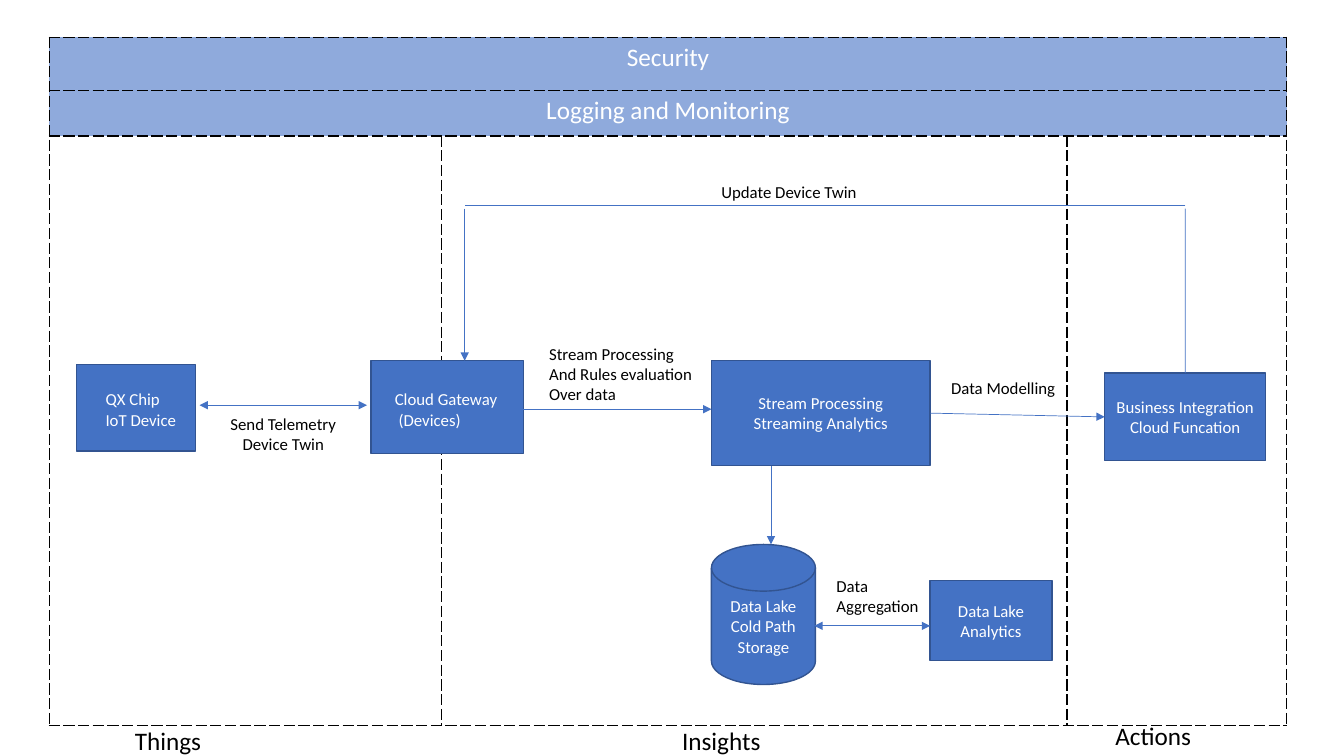
from lxml.etree import SubElement
from pptx import Presentation
from pptx.dml.color import RGBColor
from pptx.enum.shapes import MSO_CONNECTOR, MSO_SHAPE
from pptx.enum.text import MSO_ANCHOR, MSO_AUTO_SIZE, PP_ALIGN
from pptx.oxml.ns import qn
from pptx.util import Cm, Pt

BLUE, EDGE, BAND = "4472C4", "325491", "8FAADC"
BLACK, WHITE = "000000", "FFFFFF"

GRID = (1.24, 0.94)
COLS = [9.88, 15.77, 5.54]
ROWS = [1.35, 1.14, 14.86]
BANDS = ["Security", "Logging and Monitoring"]

STEP, DISK, RECT = (MSO_SHAPE.FLOWCHART_PROCESS,
                    MSO_SHAPE.FLOWCHART_MAGNETIC_DISK, MSO_SHAPE.RECTANGLE)
BOXES = {
    "device": (STEP, 1.93, 9.19, 3.0, 2.18, ""),
    "hub": (STEP, 9.35, 9.09, 3.84, 2.34, ""),
    "stream": (STEP, 17.93, 9.09, 5.51, 2.64,
               "Stream Processing\nStreaming Analytics"),
    "lake": (DISK, 17.93, 13.72, 2.62, 3.53, "Data Lake Cold Path Storage"),
    "query": (RECT, 23.44, 14.63, 3.07, 2.01, "Data Lake Analytics"),
    "action": (RECT, 27.84, 9.4, 4.06, 2.21,
               "Business Integration\nCloud Funcation"),
}

LABELS = [
    ("Things", 3.15, 18.14, 2.21, 1.02, {"size": 18}),
    ("Insights", 16.94, 18.14, 2.51, 1.02, {"size": 18}),
    ("Actions", 27.86, 18.03, 2.44, 1.02, {"size": 18}),
    ("QX Chip\nIoT Device", 2.41, 9.68, 2.31, 1.27, {"color": WHITE}),
    ("Cloud Gateway\n (Devices)", 9.7, 9.68, 3.12, 1.27, {"color": WHITE}),
    ("Send Telemetry\nDevice Twin", 5.54, 10.29, 3.2, 1.27,
     {"align": PP_ALIGN.CENTER}),
    ("Stream Processing\nAnd Rules evaluation\nOver data",
     13.59, 8.53, 4.14, 1.8, {}),
    ("Data\nAggregation", 20.83, 14.38, 2.62, 1.27, {}),
    ("Data Modelling", 23.72, 9.4, 3.15, 0.76, {}),
    ("Update Device Twin", 17.93, 4.45, 3.96, 0.76, {}),
]

LINES = [
    (5.03, 10.21, 9.25, 10.21, "both"),
    (13.18, 10.31, 17.93, 10.31, "end"),
    (19.43, 11.73, 19.43, 13.72, "end"),
    (20.52, 15.77, 23.44, 15.77, "both"),
    (29.87, 5.18, 11.71, 5.18, ""),
    (11.71, 5.26, 11.71, 9.09, "end"),
]


def paint(form, tone):
    form.solid()
    form.fore_color.rgb = RGBColor.from_string(tone)


def write(frame, text, size=12, color=BLACK, align=PP_ALIGN.LEFT):
    for i, line in enumerate(text.split("\n")):
        para = frame.paragraphs[0] if i == 0 else frame.add_paragraph()
        para.alignment = align
        run = para.add_run()
        run.text = line
        run.font.size = Pt(size)
        run.font.name = "Calibri"
        run.font.color.rgb = RGBColor.from_string(color)


def border(cell):
    props = cell._tc.get_or_add_tcPr()
    for side in "LRTB":
        edge = SubElement(props, qn("a:ln" + side), w=str(Pt(1)))
        fill = SubElement(edge, qn("a:solidFill"))
        SubElement(fill, qn("a:srgbClr"), val=BLACK)
        SubElement(edge, qn("a:prstDash"), val="sysDash")


def link(shapes, x1, y1, x2, y2, heads):
    line = shapes.add_connector(MSO_CONNECTOR.STRAIGHT,
                                Cm(x1), Cm(y1), Cm(x2), Cm(y2))
    paint(line.line.fill, BLUE)
    line.line.width = Pt(0.5)
    edge = line.line._get_or_add_ln()
    if heads == "both":
        SubElement(edge, qn("a:headEnd"), type="triangle")
    if heads:
        SubElement(edge, qn("a:tailEnd"), type="triangle")
    SubElement(line._element.spPr, qn("a:effectLst"))
    return line


def zones(shapes):
    grid = shapes.add_table(len(ROWS), len(COLS), Cm(GRID[0]), Cm(GRID[1]),
                            Cm(sum(COLS)), Cm(sum(ROWS))).table
    grid.first_row = grid.horz_banding = False
    for col, wide in zip(grid.columns, COLS):
        col.width = Cm(wide)
    for r, high in enumerate(ROWS):
        grid.rows[r].height = Cm(high)
        for c in range(len(COLS)):
            cell = grid.cell(r, c)
            border(cell)
            if r < len(BANDS):
                paint(cell.fill, BAND)
            else:
                cell.fill.background()
    for r, name in enumerate(BANDS):
        cell = grid.cell(r, 0)
        cell.merge(grid.cell(r, len(COLS) - 1))
        write(cell.text_frame, name, size=18, color=WHITE,
              align=PP_ALIGN.CENTER)


def block(shapes, kind, x, y, w, h, text):
    box = shapes.add_shape(kind, Cm(x), Cm(y), Cm(w), Cm(h))
    box.shadow.inherit = False
    paint(box.fill, BLUE)
    paint(box.line.fill, EDGE)
    box.line.width = Pt(1)
    if text:
        box.text_frame.word_wrap = True
        box.text_frame.vertical_anchor = MSO_ANCHOR.MIDDLE
        write(box.text_frame, text, color=WHITE, align=PP_ALIGN.CENTER)
    return box


def label(shapes, text, x, y, w, h, form):
    frame = shapes.add_textbox(Cm(x), Cm(y), Cm(w), Cm(h)).text_frame
    frame.word_wrap = False
    frame.auto_size = MSO_AUTO_SIZE.SHAPE_TO_FIT_TEXT
    write(frame, text, **form)


def main():
    deck = Presentation()
    deck.slide_width, deck.slide_height = Cm(33.87), Cm(19.05)
    shapes = deck.slides.add_slide(deck.slide_layouts[6]).shapes
    zones(shapes)
    boxes = {name: block(shapes, *data) for name, data in BOXES.items()}
    for data in LINES:
        link(shapes, *data)
    model = link(shapes, 23.44, 10.41, 27.84, 10.5, "end")
    model.begin_connect(boxes["stream"], 3)
    model.end_connect(boxes["action"], 1)
    back = link(shapes, 29.87, 9.4, 29.87, 5.26, "")
    back.begin_connect(boxes["action"], 0)
    for data in LABELS:
        label(shapes, *data)
    deck.save("out.pptx")


if __name__ == "__main__":
    main()
